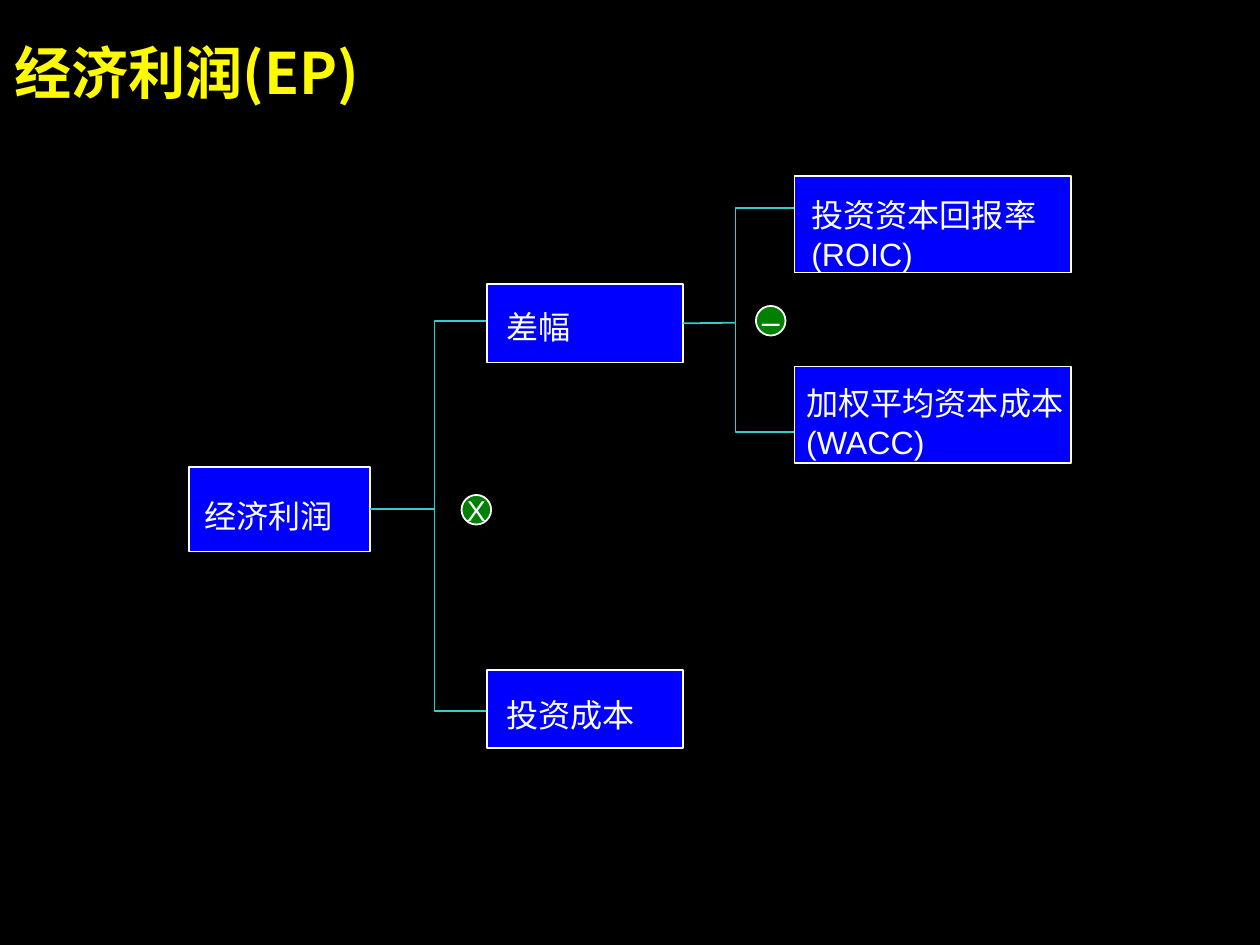
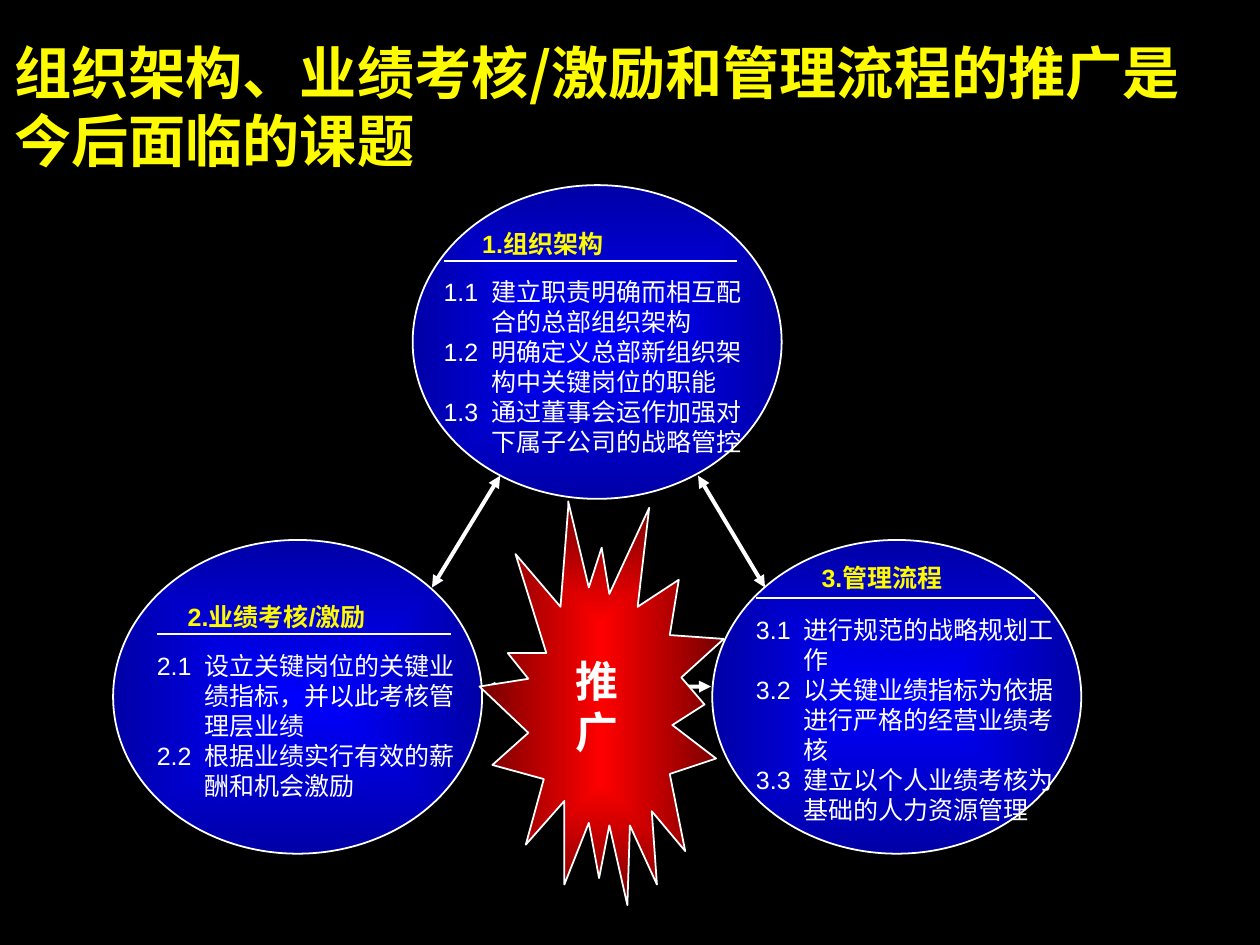
"""Build two slides: the economic profit tree and the roll-out topics."""
from dataclasses import dataclass

from lxml import etree
from pptx import Presentation
from pptx.dml.color import RGBColor
from pptx.enum.shapes import MSO_CONNECTOR, MSO_SHAPE
from pptx.enum.text import MSO_ANCHOR, PP_ALIGN
from pptx.oxml.ns import qn
from pptx.util import Inches, Pt

RECTANGLE, OVAL = MSO_SHAPE.RECTANGLE, MSO_SHAPE.OVAL
STRAIGHT = MSO_CONNECTOR.STRAIGHT
TOP, MIDDLE, BOTTOM = MSO_ANCHOR.TOP, MSO_ANCHOR.MIDDLE, MSO_ANCHOR.BOTTOM
LEFT, CENTER = PP_ALIGN.LEFT, PP_ALIGN.CENTER
RIGHT_SIDE = 3


@dataclass(frozen=True)
class Theme:
    background: str = "000000"
    title: str = "FEFB00"
    text: str = "FFFFFF"
    outline: str = "FFFFFF"
    branch: str = "33CCCC"
    box: str = "0000FE"
    operator: str = "008000"
    topic: tuple = ("0000FE", "0000A7")
    burst: tuple = ("FF0000", "750000")
    title_font: str = "Noto Sans CJK SC"
    body_font: str = "Arial"
    asian_font: str = "Noto Sans CJK SC"
    title_size: int = 32
    burst_size: int = 24
    box_size: int = 18
    times_size: int = 16
    topic_size: int = 14
    line_height: float = 1.2
    top_offset: float = 0.09
    hanging: float = 0.37
    thin: float = 1
    thick: float = 2.25


class Deck:
    def __init__(self, theme):
        self.theme = theme
        self.presentation = Presentation()
        self.presentation.slide_width = Inches(9.8)
        self.presentation.slide_height = Inches(7.35)
        self.slide = None

    def new_slide(self, title, height):
        theme = self.theme
        self.slide = self.presentation.slides.add_slide(self.presentation.slide_layouts[6])
        background = self.slide.background.fill
        background.solid()
        background.fore_color.rgb = RGBColor.from_string(theme.background)
        self.text((0.11, 0.25, 9.51, height), [title], theme.title_size,
                  color=theme.title, bold=True, font=theme.title_font)

    def add_lines(self, frame, lines, size, color, bold=False, font=None, align=LEFT, hanging=0):
        theme = self.theme
        for index, line in enumerate(lines):
            paragraph = frame.add_paragraph() if index else frame.paragraphs[0]
            paragraph.alignment = align
            paragraph.line_spacing = Pt(round(size * theme.line_height, 1))
            if hanging:
                properties = paragraph._p.get_or_add_pPr()
                properties.set("marL", str(Inches(hanging)))
                properties.set("indent", str(-Inches(hanging)))
            run = paragraph.add_run()
            run.text = line
            run.font.name = font or theme.body_font
            run.font.size = Pt(size)
            run.font.bold = bold
            run.font.color.rgb = RGBColor.from_string(color)
            asian = etree.SubElement(run._r.get_or_add_rPr(), qn("a:ea"))
            asian.set("typeface", theme.asian_font)

    def text(self, place, lines, size, color=None, anchor=TOP, **style):
        frame = self.slide.shapes.add_textbox(*map(Inches, place)).text_frame
        frame.word_wrap = True
        frame.vertical_anchor = anchor
        frame.margin_left = frame.margin_right = 0
        frame.margin_top = Pt(size * self.theme.top_offset) if anchor == TOP else 0
        frame.margin_bottom = Inches(0.02) if anchor == BOTTOM else 0
        self.add_lines(frame, lines, size, color or self.theme.text, **style)

    def paint(self, shape, fill, line):
        shape.shadow.inherit = False
        shape.line.color.rgb = RGBColor.from_string(line)
        shape.line.width = Pt(self.theme.thin)
        if fill is None:
            shape.fill.background()
        elif isinstance(fill, str):
            shape.fill.solid()
            shape.fill.fore_color.rgb = RGBColor.from_string(fill)
        else:
            shape.fill.gradient()
            for stop, color in zip(shape.fill.gradient_stops, fill):
                stop.color.rgb = RGBColor.from_string(color)
            gradient = shape._element.spPr.find(qn("a:gradFill"))
            gradient.remove(gradient.find(qn("a:lin")))
            spread = etree.SubElement(gradient, qn("a:path"), {"path": "rect"})
            etree.SubElement(spread, qn("a:fillToRect"), dict.fromkeys("ltrb", "50000"))
        return shape

    def shape(self, kind, place, fill):
        shape = self.slide.shapes.add_shape(kind, *map(Inches, place))
        return self.paint(shape, fill, self.theme.outline)

    def outline(self, points, fill, line, close):
        start, *rest = [(Inches(x), Inches(y)) for x, y in points]
        builder = self.slide.shapes.build_freeform(*start, scale=1.0)
        builder.add_line_segments(rest, close=close)
        return self.paint(builder.convert_to_shape(), fill, line)

    def line(self, start, end, color, width, arrows=False):
        connector = self.slide.shapes.add_connector(STRAIGHT, *map(Inches, start + end))
        connector.line.color.rgb = RGBColor.from_string(color)
        connector.line.width = Pt(width)
        properties = connector._element.spPr
        if arrows:
            for tip in ("a:headEnd", "a:tailEnd"):
                etree.SubElement(properties.find(qn("a:ln")), qn(tip), {"type": "triangle"})
        etree.SubElement(properties, qn("a:effectLst"))
        return connector

    def bracket(self, spine, upper, lower):
        points = [upper, (spine, upper[1]), (spine, lower[1]), lower]
        self.outline(points, None, self.theme.branch, close=False)

    def box(self, place, label, label_place):
        box = self.shape(RECTANGLE, place, self.theme.box)
        self.text(label_place, [label], self.theme.box_size)
        return box

    def stem(self, box, start, end):
        self.line(start, end, self.theme.branch, self.theme.thin).end_connect(box, RIGHT_SIDE)

    def operator(self, left, top, sign, size):
        circle = self.shape(OVAL, (left, top, 0.23, 0.23), self.theme.operator)
        frame = circle.text_frame
        frame.word_wrap = False
        frame.vertical_anchor = MIDDLE
        self.add_lines(frame, [sign], size, self.theme.text, align=CENTER)

    def topic(self, heading, heading_at, rule, items, items_place):
        theme = self.theme
        self.text((*heading_at, 2.31, 0.23), [heading], theme.topic_size,
                  color=theme.title, bold=True)
        self.text(items_place, items, theme.topic_size, hanging=theme.hanging)
        left, right, level = rule
        self.line((left, level), (right, level), theme.outline, theme.thin)


def profit_tree(deck):
    theme = deck.theme
    deck.new_slide("经济利润(EP)", 0.53)
    deck.bracket(3.38, (3.92, 2.5), (4.15, 5.53))
    deck.bracket(5.72, (6.26, 1.62), (6.48, 3.36))
    deck.box((6.18, 1.37, 2.15, 0.75), "投资资本回报率(ROIC)", (6.31, 1.5, 2.52, 0.6))
    deck.box((6.18, 2.85, 2.15, 0.75), "加权平均资本成本(WACC)", (6.27, 2.96, 2.52, 0.6))
    spread = deck.box((3.79, 2.21, 1.52, 0.61), "差幅", (3.94, 2.37, 1.1, 0.3))
    deck.box((3.79, 5.21, 1.52, 0.61), "投资成本", (3.94, 5.39, 1.33, 0.3))
    profit = deck.box((1.47, 3.63, 1.41, 0.66), "经济利润", (1.59, 3.84, 1.12, 0.3))
    deck.stem(spread, (5.72, 2.51), (5.31, 2.51))
    deck.stem(profit, (3.38, 3.96), (2.88, 3.96))
    deck.operator(5.88, 2.38, "–", theme.box_size)
    deck.operator(3.59, 3.85, "X", theme.times_size)


def rollout(deck):
    theme = deck.theme
    deck.new_slide("组织架构、业绩考核/激励和管理流程的推广是今后面临的课题", 1.07)
    deck.line((5.53, 5.34), (3.76, 5.35), theme.outline, theme.thick, arrows=True)
    for left, top in ((5.54, 4.2), (0.88, 4.2), (3.21, 1.44)):
        deck.shape(OVAL, (left, top, 2.87, 2.44), theme.topic)
    deck.topic("1.组织架构", (3.75, 1.76), (3.45, 5.73, 2.03),
               ["1.1\t建立职责明确而相互配合的总部组织架构",
                "1.2\t明确定义总部新组织架构中关键岗位的职能",
                "1.3\t通过董事会运作加强对下属子公司的战略管控"],
               (3.45, 2.13, 2.38, 1.4))
    deck.topic("2.业绩考核/激励", (1.46, 4.66), (1.22, 3.51, 4.93),
               ["2.1\t设立关键岗位的关键业绩指标，并以此考核管理层业绩",
                "2.2\t根据业绩实行有效的薪酬和机会激励"],
               (1.22, 5.04, 2.37, 1.17))
    deck.topic("3.管理流程", (6.39, 4.36), (5.88, 8.05, 4.65),
               ["3.1\t进行规范的战略规划工作",
                "3.2\t以关键业绩指标为依据进行严格的经营业绩考核",
                "3.3\t建立以个人业绩考核为基础的人力资源管理"],
               (5.88, 4.76, 2.47, 1.63))
    for start, end in (((3.36, 4.57), (3.89, 3.7)), ((5.95, 4.57), (5.43, 3.7))):
        deck.line(start, end, theme.outline, theme.thick, arrows=True)
    burst = [
        (4.42, 3.9), (4.58, 4.57), (4.68, 4.26), (4.74, 4.62), (5.05, 3.95), (4.96, 4.72),
        (5.28, 4.51), (5.21, 4.94), (5.63, 4.97), (5.3, 5.27), (5.48, 5.48), (5.23, 5.64),
        (5.57, 5.9), (5.21, 6.02), (5.33, 6.62), (5.07, 6.31), (5.11, 6.88), (4.9, 6.42),
        (4.88, 7.04), (4.74, 6.42), (4.66, 6.83), (4.58, 6.4), (4.39, 6.88), (4.39, 6.23),
        (4.09, 6.57), (4.23, 6.06), (3.83, 5.95), (4.11, 5.7), (3.73, 5.34), (4.11, 5.28),
        (3.95, 5.08), (4.25, 5.08), (4.01, 4.31), (4.36, 4.72), (4.42, 3.95),
    ]
    deck.outline(burst, theme.burst, theme.outline, close=True)
    deck.text((4.21, 4.61, 0.87, 1.3), ["推", "广"], theme.burst_size,
              anchor=BOTTOM, bold=True, align=CENTER)


def main():
    deck = Deck(Theme())
    profit_tree(deck)
    rollout(deck)
    deck.presentation.save("out.pptx")


if __name__ == "__main__":
    main()
